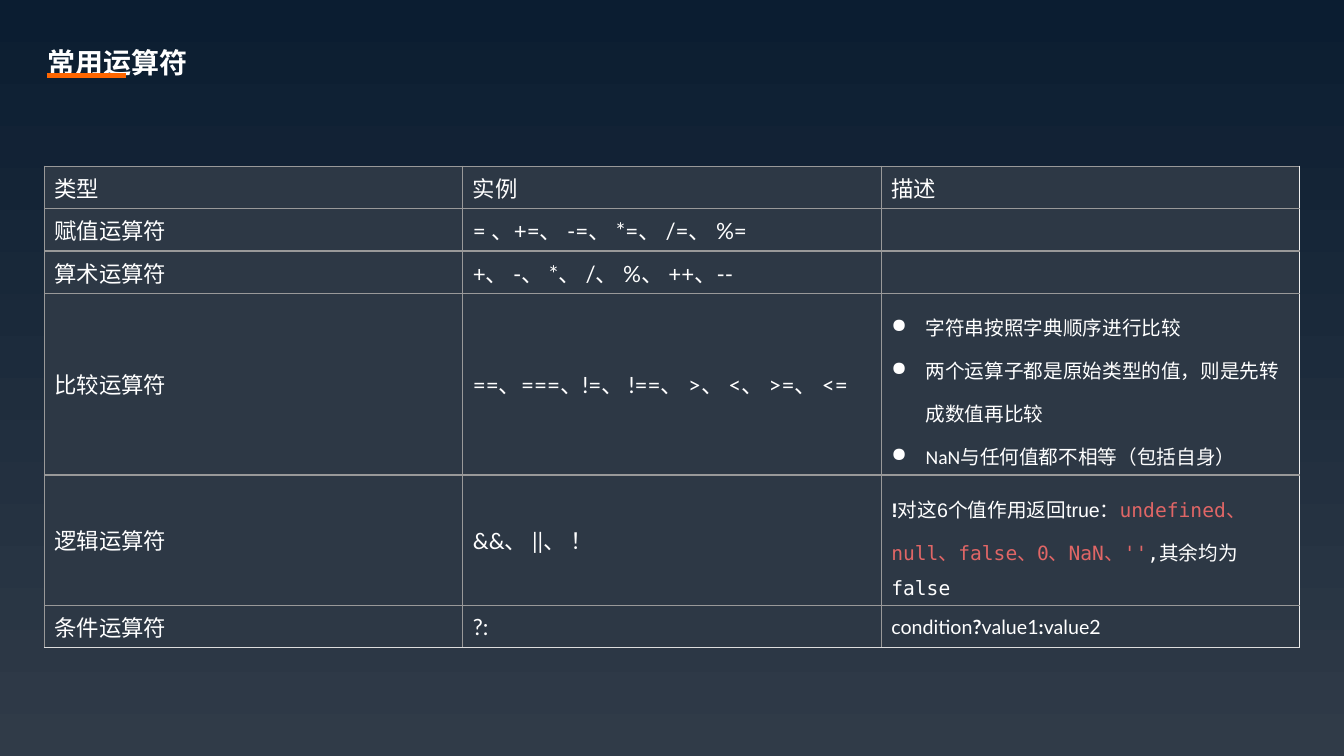
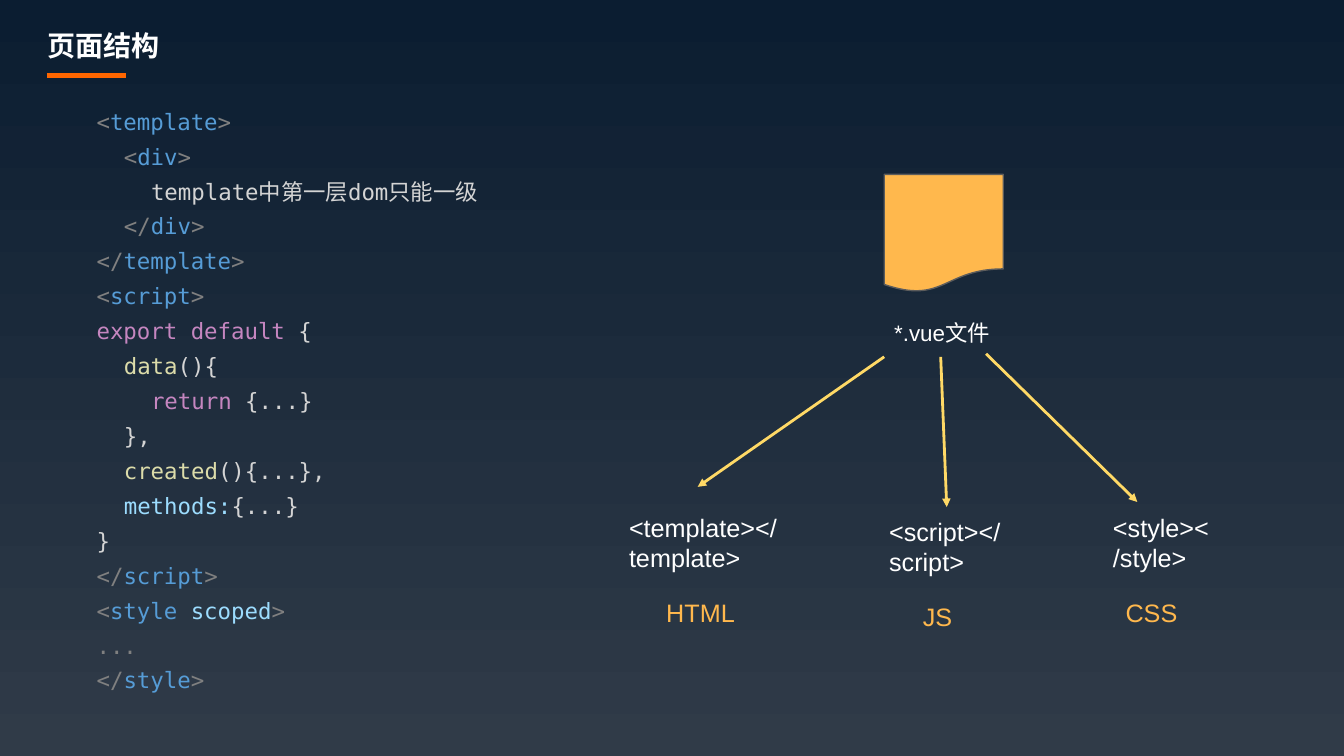
"""Build two slides: a table of operators and the structure of a page file."""
from dataclasses import dataclass

from lxml.etree import SubElement
from pptx import Presentation
from pptx.dml.color import RGBColor
from pptx.enum.shapes import MSO_CONNECTOR, MSO_SHAPE
from pptx.enum.text import MSO_ANCHOR, MSO_AUTO_SIZE, PP_ALIGN
from pptx.oxml.ns import qn
from pptx.util import Inches, Pt


@dataclass(frozen=True)
class Theme:
    night: str = "0B1D31"
    slate: str = "303B48"
    cell: str = "2D3845"
    white: str = "FFFFFF"
    accent: str = "FF6600"
    amber: str = "FFB84D"
    arrow: str = "FFD966"
    outline: str = "5C5C5C"
    grid: str = "999999"
    right_edge: str = "EEEEEE"
    bottom_edge: str = "DDDDDD"
    literal: str = "E06666"
    sans: str = "Arial"
    body: str = "Lato"
    notes: str = "Calibri"
    mono: str = "DejaVu Sans Mono"
    title_size: int = 20
    label_size: int = 18
    text_size: int = 16
    note_size: int = 14


THEME = Theme()
SYNTAX = {"mark": "808080", "tag": "569CD6", "plain": "D4D4D4",
          "keyword": "C586C0", "function": "DCDCAA", "attribute": "9CDCFE"}
BRACKETS = {"open": "<", "close": "</"}
BOLD = {"bold": True}
MONO = {"font": THEME.mono}

OPERATORS_TITLE = "常用运算符"
OPERATORS = [
    ("类型", "实例", ["描述"], {"font": THEME.sans, "size": THEME.text_size}),
    ("赋值运算符", "= 、+=、 -=、 *=、 /=、 %=", [], {}),
    ("算术运算符", "+、 -、 *、 /、 %、 ++、--", [], {}),
    ("比较运算符", "==、===、!=、 !==、 >、 <、 >=、 <=",
     ["字符串按照字典顺序进行比较",
      "两个运算子都是原始类型的值，则是先转成数值再比较",
      "NaN与任何值都不相等（包括自身）"],
     {"font": THEME.notes, "spacing": 1.5, "bullet": "●", "indent": 0.34}),
    ("逻辑运算符", "&&、 ||、 ！",
     [[("!", BOLD), "对这6个值作用返回true：",
       ("undefined、null、false、0、NaN、''", {**MONO, "color": THEME.literal}),
       (",其余均为false", MONO)]],
     {"font": THEME.sans, "spacing": 1.5}),
    ("条件运算符", "?:",
     [["condition", ("?", BOLD), "value1", (":", BOLD), "value2"]], {}),
]
ROW_HEIGHTS = [0.42, 0.42, 0.42, 1.8, 1.29, 0.42]
TABLE_LEFT, TABLE_TOP, COLUMN_WIDTH = 0.44, 1.65, 4.15

STRUCTURE_TITLE = "页面结构"
CODE = [
    (0, ("open", "template")),
    (1, ("open", "div")),
    (2, ("plain", "template中第一层dom只能一级")),
    (1, ("close", "div")),
    (0, ("close", "template")),
    (0, ("open", "script")),
    (0, ("keyword", "export default"), ("plain", " {")),
    (1, ("function", "data"), ("plain", "(){")),
    (2, ("keyword", "return"), ("plain", " {...}")),
    (1, ("plain", "},")),
    (1, ("function", "created"), ("plain", "(){...},")),
    (1, ("attribute", "methods:"), ("plain", "{...}")),
    (0, ("plain", "}")),
    (0, ("close", "script")),
    (0, ("mark", "<"), ("tag", "style "), ("attribute", "scoped"), ("mark", ">")),
    (0, ("mark", "...")),
    (0, ("close", "style")),
]
CODE_INDENT = 0.27
FILE_LABEL = "*.vue文件"
FILE_LEFT, FILE_WIDTH = 8.77, 1.18
BRANCHES = [
    {"tag": "<template></template>", "language": "HTML", "box": (6.14, 5.03, 1.68),
     "indent": 0, "arrow": (8.77, 3.54, 6.92, 4.83)},
    {"tag": "<script></script>", "language": "JS", "box": (8.72, 5.07, 1.33),
     "indent": 0.14, "arrow": (9.33, 3.54, 9.39, 5.03)},
    {"tag": "<style></style>", "language": "CSS", "box": (10.94, 5.03, 1.19),
     "indent": 0, "arrow": (9.78, 3.51, 11.28, 4.98)},
]
LANGUAGE_WIDTH, LANGUAGE_DROP = 0.94, 0.85


def rgb(color):
    return RGBColor.from_string(color)


def write(frame, paragraphs, font=THEME.sans, size=THEME.text_size, color=THEME.white,
          bold=False, spacing=None, bullet=None, indent=0, indents=None):
    frame.word_wrap = True
    for index, runs in enumerate(paragraphs):
        paragraph = frame.paragraphs[0] if index == 0 else frame.add_paragraph()
        paragraph.alignment = PP_ALIGN.LEFT
        if spacing:
            paragraph.line_spacing = spacing
        properties = paragraph._p.get_or_add_pPr()
        properties.set("marL", str(Inches(indents[index] if indents else indent)))
        if bullet:
            properties.set("indent", str(-Inches(indent)))
            SubElement(properties, qn("a:buChar")).set("char", bullet)
        for part in [runs] if isinstance(runs, str) else runs:
            words, own = (part, {}) if isinstance(part, str) else part
            run = paragraph.add_run()
            run.text = words
            run.font.name = own.get("font", font)
            run.font.size = Pt(size)
            run.font.bold = own.get("bold", bold)
            run.font.color.rgb = rgb(own.get("color", color))


def add_text(slide, box, paragraphs, **style):
    frame = slide.shapes.add_textbox(*map(Inches, box)).text_frame
    write(frame, paragraphs, **style)


def add_line(slide, ends, color, width, arrow=False):
    line = slide.shapes.add_connector(MSO_CONNECTOR.STRAIGHT, *map(Inches, ends))
    line.line.color.rgb = rgb(color)
    line.line.width = Pt(width)
    if arrow:
        SubElement(line.line._get_or_add_ln(), qn("a:tailEnd")).set("type", "triangle")
    SubElement(line._element.spPr, qn("a:effectLst"))


def paint_background(master):
    fill = master.background.fill
    fill.gradient()
    fill.gradient_angle = 90
    for stop, color in zip(fill.gradient_stops, (THEME.slate, THEME.night)):
        stop.color.rgb = rgb(color)


def add_titled_slide(deck, heading, **style):
    slide = deck.slides.add_slide(deck.slide_layouts.get_by_name("Title Only"))
    title = slide.shapes.title
    title.left, title.top, title.width, title.height = map(Inches, (0.37, 0.23, 3.25, 0.67))
    title.text_frame.auto_size = MSO_AUTO_SIZE.NONE
    title.text_frame.vertical_anchor = MSO_ANCHOR.TOP
    write(title.text_frame, [heading], size=THEME.title_size, bold=True, **style)
    add_line(slide, (0.47, 0.75, 1.25, 0.75), THEME.accent, 4)
    return slide


def set_border(cell, side, color):
    edge = SubElement(cell._tc.get_or_add_tcPr(), qn(f"a:ln{side}"), w=str(Pt(1)))
    SubElement(SubElement(edge, qn("a:solidFill")), qn("a:srgbClr")).set("val", color)


def add_operator_table(slide):
    size = (COLUMN_WIDTH * 3, sum(ROW_HEIGHTS))
    table = slide.shapes.add_table(
        len(OPERATORS), 3, *map(Inches, (TABLE_LEFT, TABLE_TOP, *size))).table
    table.first_row = table.horz_banding = False
    for column in table.columns:
        column.width = Inches(COLUMN_WIDTH)
    last = len(OPERATORS) - 1
    for row, (kind, examples, notes, note_style) in enumerate(OPERATORS):
        table.rows[row].height = Inches(ROW_HEIGHTS[row])
        body = {"font": THEME.body}
        note = {"font": THEME.body, "size": THEME.note_size, **note_style}
        contents = [([kind], body), ([examples], body), (notes, note)]
        for column, (paragraphs, style) in enumerate(contents):
            cell = table.cell(row, column)
            cell.vertical_anchor = MSO_ANCHOR.MIDDLE
            write(cell.text_frame, paragraphs, **style)
            edges = {"L": THEME.grid,
                     "R": THEME.right_edge if column == 2 else THEME.grid,
                     "T": THEME.grid,
                     "B": THEME.bottom_edge if row == last else THEME.grid}
            for side, color in edges.items():
                set_border(cell, side, color)
            cell.fill.solid()
            cell.fill.fore_color.rgb = rgb(THEME.cell)


def code_runs(tokens):
    for kind, words in tokens:
        if kind in BRACKETS:
            yield from code_runs([("mark", BRACKETS[kind]), ("tag", words), ("mark", ">")])
        else:
            yield words, {"color": SYNTAX[kind]}


def add_file_diagram(slide):
    page = slide.shapes.add_shape(MSO_SHAPE.FLOWCHART_DOCUMENT,
                                  *map(Inches, (FILE_LEFT, 1.73, FILE_WIDTH, 1.17)))
    page.shadow.inherit = False
    page.fill.solid()
    page.fill.fore_color.rgb = rgb(THEME.amber)
    page.line.color.rgb = rgb(THEME.outline)
    page.line.width = Pt(1)
    add_text(slide, (FILE_LEFT, 3.12, FILE_WIDTH, 0.39), [FILE_LABEL])
    for branch in BRANCHES:
        left, top, width = branch["box"]
        add_text(slide, (left, top, width, 0.68), [branch["tag"]], size=THEME.label_size)
        language_left = left + (width - LANGUAGE_WIDTH) / 2
        add_text(slide, (language_left, top + LANGUAGE_DROP, LANGUAGE_WIDTH, 0.42),
                 [branch["language"]], size=THEME.label_size, color=THEME.amber,
                 indent=branch["indent"])
        add_line(slide, branch["arrow"], THEME.arrow, 2, arrow=True)


def main():
    deck = Presentation()
    deck.slide_width, deck.slide_height = Inches(13.33), Inches(7.5)
    paint_background(deck.slide_master)

    operators = add_titled_slide(deck, OPERATORS_TITLE, spacing=1.5)
    add_operator_table(operators)

    structure = add_titled_slide(deck, STRUCTURE_TITLE, font=THEME.body)
    add_text(structure, (0.86, 0.94, 4.39, 6.19),
             [list(code_runs(tokens)) for _, *tokens in CODE], font=THEME.mono,
             spacing=1.3, indents=[level * CODE_INDENT for level, *_ in CODE])
    add_file_diagram(structure)

    deck.save("out.pptx")


if __name__ == "__main__":
    main()
